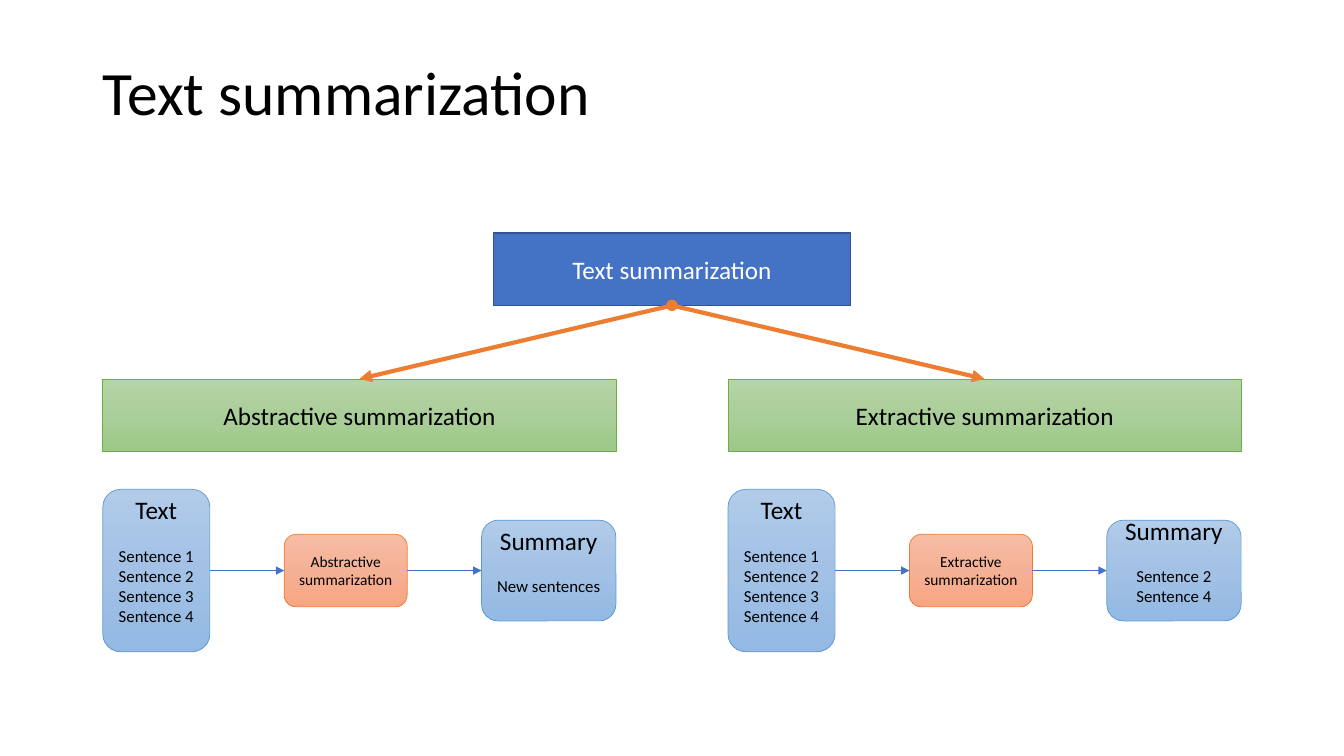
from copy import deepcopy
from dataclasses import dataclass

from lxml.etree import SubElement
from pptx import Presentation
from pptx.dml.color import RGBColor
from pptx.enum.shapes import MSO_CONNECTOR, MSO_SHAPE
from pptx.enum.text import MSO_ANCHOR, MSO_AUTO_SIZE, PP_ALIGN
from pptx.oxml.ns import qn
from pptx.shapes.autoshape import Shape
from pptx.shapes.shapetree import GroupShapes, SlideShapes
from pptx.util import Inches, Pt

BLACK = RGBColor(0x00, 0x00, 0x00)
WHITE = RGBColor(0xFF, 0xFF, 0xFF)
BLUE = RGBColor(0x44, 0x72, 0xC4)
NAVY = RGBColor(0x32, 0x54, 0x91)
GREEN = RGBColor(0x70, 0xAD, 0x47)
SKY = RGBColor(0x5B, 0x9B, 0xD5)
ORANGE = RGBColor(0xED, 0x7D, 0x31)
FONT = "Calibri"
SITE_TOP, SITE_LEFT, SITE_BOTTOM, SITE_RIGHT = range(4)


@dataclass(frozen=True)
class Look:
    fills: tuple[RGBColor, ...]
    outline: RGBColor
    outline_width: float = 0.5
    text: RGBColor = BLACK


@dataclass(frozen=True)
class Area:
    left: float
    top: float
    width: float
    height: float


@dataclass(frozen=True)
class Step:
    heading: str
    heading_size: int
    sentences: tuple[str, ...]
    width: float
    height: float
    look: Look


@dataclass(frozen=True)
class Branch:
    kind: str
    summary: tuple[str, ...]


ROOT_LOOK = Look((BLUE,), NAVY, 1, WHITE)
DOT_LOOK = Look((ORANGE,), ORANGE, 1)
BRANCH_LOOK = Look((RGBColor(0xB5, 0xD5, 0xA7), RGBColor(0xAA, 0xCE, 0x9A),
                    RGBColor(0x9C, 0xC9, 0x87)), GREEN)
DOCUMENT_LOOK = Look((RGBColor(0xB1, 0xCB, 0xE9), RGBColor(0xA3, 0xC1, 0xE5),
                      RGBColor(0x93, 0xB9, 0xE4)), SKY)
PROCESS_LOOK = Look((RGBColor(0xF7, 0xBD, 0xA5), RGBColor(0xF5, 0xB1, 0x96),
                     RGBColor(0xF8, 0xA5, 0x82)), ORANGE)

MARGIN, BRANCH_WIDTH, BAR_HEIGHT = 7.65, 38.18, 9.6
ROOT_WIDTH, ROOT_TOP, BRANCH_TOP, FLOW_MIDDLE = 26.55, 30.8, 50.13, 75.47
SENTENCES = tuple(f"Sentence {number}" for number in range(1, 5))
BRANCHES = (
    Branch("Abstractive", ("New sentences",)),
    Branch("Extractive", ("Sentence 2", "Sentence 4")),
)

presentation = Presentation()
presentation.slide_width, presentation.slide_height = Inches(13.33), Inches(7.5)


def across(percent: float) -> int:
    return round(presentation.slide_width * percent / 100)


def down(percent: float) -> int:
    return round(presentation.slide_height * percent / 100)


def paint(shape: Shape, look: Look) -> None:
    shape.shadow.inherit = False
    shape.line.color.rgb = look.outline
    shape.line.width = Pt(look.outline_width)
    if len(look.fills) == 1:
        shape.fill.solid()
        shape.fill.fore_color.rgb = look.fills[0]
        return
    shape.fill.gradient()
    shape.fill.gradient_angle = 270
    stops = next(shape.element.spPr.iter(qn("a:gsLst")))
    stops.insert(1, deepcopy(stops[0]))
    for index, (stop, color) in enumerate(zip(shape.fill.gradient_stops, look.fills)):
        stop.position = index / 2
        stop.color.rgb = color


def add_box(shapes: SlideShapes | GroupShapes, preset: MSO_SHAPE, area: Area, look: Look,
            heading: str, heading_size: int, sentences: tuple[str, ...] = ()) -> Shape:
    box = shapes.add_shape(preset, across(area.left), down(area.top),
                           across(area.width), down(area.height))
    paint(box, look)
    frame = box.text_frame
    frame.word_wrap = True
    frame.vertical_anchor = MSO_ANCHOR.MIDDLE
    frame.text = "\n".join((heading, *sentences))
    for index, paragraph in enumerate(frame.paragraphs):
        paragraph.alignment = PP_ALIGN.CENTER
        paragraph.font.name = FONT
        paragraph.font.size = Pt(12 if index else heading_size)
        paragraph.font.color.rgb = look.text
    if sentences:
        frame.paragraphs[0].space_after = Pt(14.5)
        frame.margin_bottom = Inches(0.25)
    return box


def add_arrow(shapes: SlideShapes | GroupShapes, start: Shape, start_site: int,
              end: Shape, end_site: int, color: RGBColor, width: float) -> None:
    arrow = shapes.add_connector(MSO_CONNECTOR.STRAIGHT, 0, 0, 0, 0)
    arrow.begin_connect(start, start_site)
    arrow.end_connect(end, end_site)
    arrow.line.color.rgb = color
    arrow.line.width = Pt(width)
    SubElement(arrow.line._get_or_add_ln(), qn("a:tailEnd"), type="triangle")
    SubElement(arrow._element.spPr, qn("a:effectLst"))


def add_flow(shapes: GroupShapes, branch: Branch, left: float) -> None:
    steps = (
        Step("Text", 18, SENTENCES, 7.97, 21.47, DOCUMENT_LOOK),
        Step(f"{branch.kind} summarization", 11, (), 9.15, BAR_HEIGHT, PROCESS_LOOK),
        Step("Summary", 18, branch.summary, 10, 13.33, DOCUMENT_LOOK),
    )
    gap = (BRANCH_WIDTH - sum(step.width for step in steps)) / (len(steps) - 1)
    boxes = []
    for step in steps:
        area = Area(left, FLOW_MIDDLE - step.height / 2, step.width, step.height)
        boxes.append(add_box(shapes, MSO_SHAPE.ROUNDED_RECTANGLE, area, step.look,
                             step.heading, step.heading_size, step.sentences))
        left += step.width + gap
    for start, end in zip(boxes, boxes[1:]):
        add_arrow(shapes, start, SITE_RIGHT, end, SITE_LEFT, BLUE, 0.5)


slide = presentation.slides.add_slide(presentation.slide_layouts[5])
title = slide.shapes.title
title.left, title.top = across(6.9), down(2.93)
title.width, title.height = across(86.25), down(19.33)
title.text_frame.text = "Text summarization"
title.text_frame.auto_size = MSO_AUTO_SIZE.NONE
title.text_frame.vertical_anchor = MSO_ANCHOR.MIDDLE
title_line = title.text_frame.paragraphs[0]
title_line.alignment = PP_ALIGN.LEFT
title_line.line_spacing = 0.9
title_line.font.name = FONT
title_line.font.size = Pt(44)
title_line.font.color.rgb = BLACK

root = add_box(slide.shapes, MSO_SHAPE.RECTANGLE,
               Area(50 - ROOT_WIDTH / 2, ROOT_TOP, ROOT_WIDTH, BAR_HEIGHT),
               ROOT_LOOK, "Text summarization", 18)
branch_lefts = (MARGIN, 100 - MARGIN - BRANCH_WIDTH)
for branch, branch_left in zip(BRANCHES, branch_lefts):
    branch_bar = add_box(slide.shapes, MSO_SHAPE.RECTANGLE,
                         Area(branch_left, BRANCH_TOP, BRANCH_WIDTH, BAR_HEIGHT),
                         BRANCH_LOOK, f"{branch.kind} summarization", 18)
    add_arrow(slide.shapes, root, SITE_BOTTOM, branch_bar, SITE_TOP, ORANGE, 3)
    add_flow(slide.shapes.add_group_shape().shapes, branch, branch_left)

dot_size = across(0.75)
dot = slide.shapes.add_shape(MSO_SHAPE.OVAL, across(50) - dot_size // 2,
                             down(ROOT_TOP + BAR_HEIGHT) - dot_size // 2, dot_size, dot_size)
paint(dot, DOT_LOOK)

presentation.save("out.pptx")
